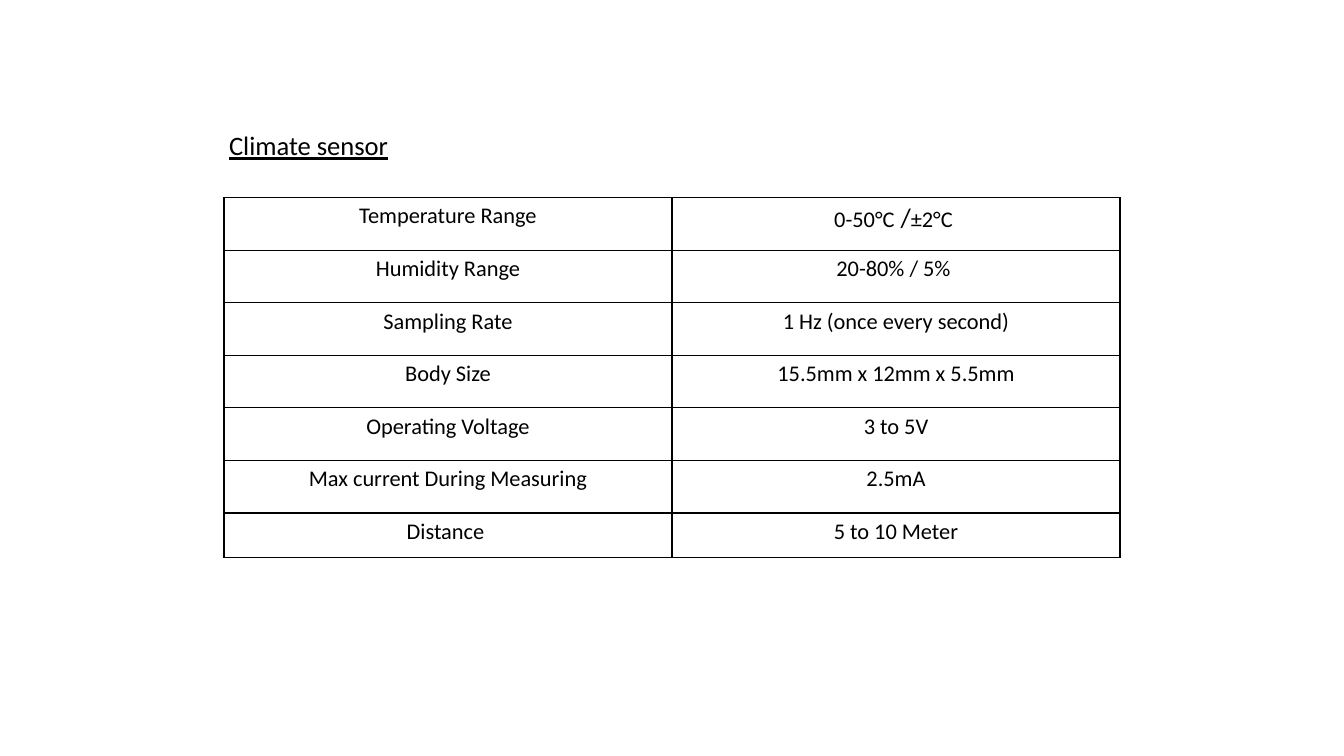
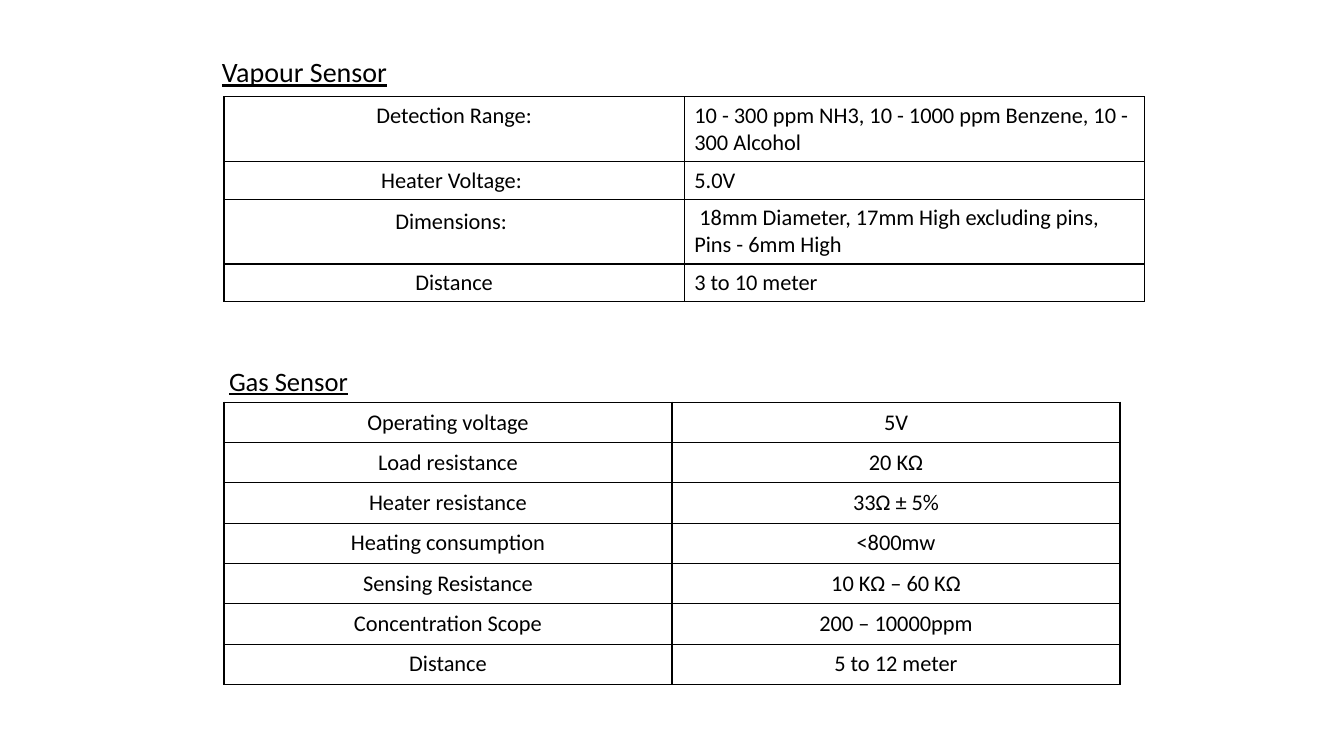
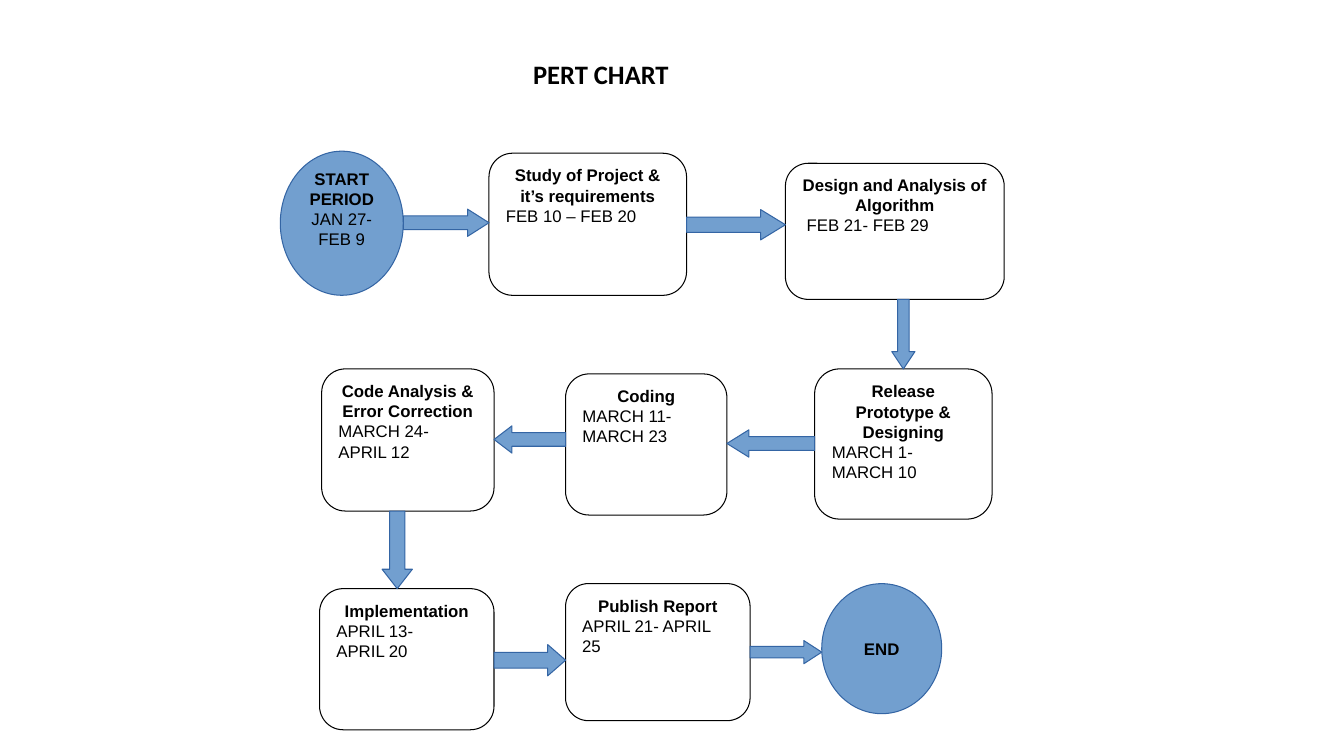
"""Sensor specification tables and a PERT chart on three slides."""
from lxml import etree
from pptx import Presentation
from pptx.dml.color import RGBColor
from pptx.enum.shapes import MSO_SHAPE
from pptx.enum.text import MSO_ANCHOR, MSO_AUTO_SIZE, PP_ALIGN
from pptx.oxml.ns import qn
from pptx.util import Emu, Inches, Pt

BLACK = RGBColor(0x00, 0x00, 0x00)
WHITE = RGBColor(0xFF, 0xFF, 0xFF)
BLUE = RGBColor(0x72, 0x9F, 0xCF)
DARK_BLUE = RGBColor(0x34, 0x65, 0xA4)
LEFT, CENTER = PP_ALIGN.LEFT, PP_ALIGN.CENTER
TOP, MIDDLE = MSO_ANCHOR.TOP, MSO_ANCHOR.MIDDLE
NO_AUTOFIT = MSO_AUTO_SIZE.NONE
ROUNDED, OVAL = MSO_SHAPE.ROUNDED_RECTANGLE, MSO_SHAPE.OVAL
RIGHT_ARROW, LEFT_ARROW = MSO_SHAPE.RIGHT_ARROW, MSO_SHAPE.LEFT_ARROW
DOWN_ARROW = MSO_SHAPE.DOWN_ARROW

presentation = Presentation()
presentation.slide_width = Inches(13.33)
presentation.slide_height = Inches(7.5)
TABLE_LEFT = 13.33 / 6
TABLE_WIDTH = 13.33 * 2 / 3
HEADING_SIZE, CELL_SIZE = 19, 16
title_only = presentation.slide_layouts[5]


def format_heading(shape, text, left, top, width, size=HEADING_SIZE, main=False):
    """Place and style a heading, underlined or, for a main one, bold and centred."""
    shape.left, shape.top = Inches(left), Inches(top)
    shape.width, shape.height = Inches(width), Inches(0.42)
    frame = shape.text_frame
    frame.text = text
    frame.word_wrap = True
    frame.auto_size = NO_AUTOFIT
    frame.vertical_anchor = MIDDLE if main else TOP
    frame.margin_left = frame.margin_right = Inches(0.1 if main else 0.05)
    frame.margin_top = frame.margin_bottom = Inches(0.05)
    paragraph = frame.paragraphs[0]
    paragraph.alignment = CENTER if main else LEFT
    font = paragraph.runs[0].font
    font.name, font.size = "Calibri", Pt(size)
    font.bold, font.underline = main, not main
    font.color.rgb = BLACK


def add_specification(slide, rows, heights, top, width=TABLE_WIDTH,
                      value_alignment=CENTER, anchor=TOP):
    """Add a two-column bordered table; text between bars is set larger."""
    frame = slide.shapes.add_table(len(rows), 2, Inches(TABLE_LEFT), Inches(top),
                                   Inches(width), Inches(sum(heights)))
    table = frame.table
    table.first_row = table.horz_banding = False
    for row, height, texts in zip(table.rows, heights, rows):
        row.height = Inches(height)
        for cell, text, alignment in zip(row.cells, texts, (CENTER, value_alignment)):
            cell.vertical_anchor = anchor
            paragraph = cell.text_frame.paragraphs[0]
            paragraph.alignment = alignment
            for index, part in enumerate(text.split("|")):
                run = paragraph.add_run()
                run.text = part
                run.font.name = "Calibri"
                run.font.size = Pt(HEADING_SIZE if index % 2 else CELL_SIZE)
                run.font.color.rgb = BLACK
            properties = cell._tc.get_or_add_tcPr()
            for side in ("a:lnL", "a:lnR", "a:lnT", "a:lnB"):
                border = etree.SubElement(properties, qn(side), w=str(Pt(1)))
                fill = etree.SubElement(border, qn("a:solidFill"))
                etree.SubElement(fill, qn("a:srgbClr"), val=str(BLACK))
            cell.fill.background()


slide = presentation.slides.add_slide(title_only)
format_heading(slide.shapes.title, "Climate sensor", TABLE_LEFT, 1.23, 2.19)
climate_rows = [
    ("Temperature Range", "0-50°C| /|±2°C "),
    ("Humidity Range", "20-80% / 5% "),
    ("Sampling Rate", "1 Hz (once every second)"),
    ("Body Size", "15.5mm x 12mm x 5.5mm"),
    ("Operating Voltage", "3 to 5V"),
    ("Max current During Measuring", "2.5mA"),
]
add_specification(slide, climate_rows, [3.13 / 6] * 6, 1.96)
add_specification(slide, [("Distance ", "5 to 10 Meter")], [0.44], 5.09)

slide = presentation.slides.add_slide(title_only)
format_heading(slide.shapes.title, "Vapour Sensor", 2.15, 0.49, 3.4, size=20)
vapour_rows = [
    ("Detection Range:", "10 - 300 ppm NH3, 10 - 1000 ppm Benzene, 10 - 300 Alcohol"),
    ("Heater Voltage: ", "5.0V"),
    ("Dimensions:| ", " 18mm Diameter, 17mm High excluding pins, Pins - 6mm High"),
    ("Distance", "3 to 10 meter"),
]
add_specification(slide, vapour_rows, [0.64, 0.37] * 2, 0.96, width=9.13,
                  value_alignment=LEFT)
gas_heading = slide.shapes.add_textbox(0, 0, 0, 0)
format_heading(gas_heading, "Gas Sensor", TABLE_LEFT, 3.57, 3.96)
gas_rows = [
    ("Operating voltage", "5V"),
    ("Load resistance", "20 KΩ"),
    ("Heater resistance", "33Ω ± 5%"),
    ("Heating consumption", "<800mw"),
    ("Sensing Resistance", "10 KΩ – 60 KΩ"),
    ("Concentration Scope", "200 – 10000ppm"),
    ("Distance", "5 to 12 meter"),
]
add_specification(slide, gas_rows, [0.4] * 7, 3.99, anchor=MIDDLE)

slide = presentation.slides.add_slide(title_only)
format_heading(slide.shapes.title, "PERT CHART", 0.4, 0.52, 11.12, main=True)
steps = {
    "start": (OVAL, 2.78, 1.5, 1.22, 1.43, "START PERIOD\nJAN 27-FEB 9"),
    "study": (ROUNDED, 4.85, 1.52, 1.96, 1.41,
              "Study of Project & it’s requirements\nFEB 10 – FEB 20"),
    "design": (ROUNDED, 7.79, 1.62, 2.17, 1.35,
               "Design and Analysis of Algorithm\n FEB 21- FEB 29"),
    "release": (ROUNDED, 8.08, 3.66, 1.76, 1.49,
                "Release Prototype & Designing\nMARCH 1-\nMARCH 10"),
    "coding": (ROUNDED, 5.61, 3.71, 1.6, 1.4, "Coding\nMARCH 11-MARCH 23"),
    "analysis": (ROUNDED, 3.19, 3.66, 1.71, 1.41,
                 "Code Analysis & Error Correction\nMARCH 24-\nAPRIL 12"),
    "implementation": (ROUNDED, 3.17, 5.84, 1.73, 1.4,
                       "Implementation\nAPRIL 13-\nAPRIL 20"),
    "report": (ROUNDED, 5.61, 5.79, 1.83, 1.36, "Publish Report\nAPRIL 21- APRIL 25"),
    "end": (OVAL, 8.15, 5.79, 1.19, 1.29, "END"),
}
step_shapes = {}
for name, (kind, left, top, width, height, text) in steps.items():
    is_oval = kind == OVAL
    shape = slide.shapes.add_shape(kind, Inches(left), Inches(top),
                                   Inches(width), Inches(height))
    step_shapes[name] = shape
    shape.shadow.inherit = False
    shape.fill.solid()
    shape.fill.fore_color.rgb = BLUE if is_oval else WHITE
    shape.line.color.rgb = DARK_BLUE if is_oval else BLACK
    shape.line.width = Pt(0.75)
    frame = shape.text_frame
    frame.word_wrap = True
    frame.vertical_anchor = MIDDLE if is_oval else TOP
    frame.margin_left = frame.margin_right = Inches(0 if is_oval else 0.1)
    frame.margin_top = frame.margin_bottom = Inches(0 if is_oval else 0.05)
    frame.text = text
    for index, paragraph in enumerate(frame.paragraphs):
        paragraph.alignment = CENTER if is_oval or index == 0 else LEFT
        font = paragraph.runs[0].font
        font.name, font.size, font.bold = "Arial", Pt(12), index == 0
        font.color.rgb = BLACK
step_shapes["start"].text_frame.margin_bottom = Inches(0.29)

flow = [
    ("start", "study", RIGHT_ARROW, 2.21, 0.27),
    ("study", "design", RIGHT_ARROW, 2.23, 0.3),
    ("design", "release", DOWN_ARROW, 8.96, 0.23),
    ("release", "coding", LEFT_ARROW, 4.4, 0.27),
    ("coding", "analysis", LEFT_ARROW, 4.36, 0.27),
    ("analysis", "implementation", DOWN_ARROW, 3.94, 0.3),
    ("implementation", "report", RIGHT_ARROW, 6.55, 0.31),
    ("report", "end", RIGHT_ARROW, 6.47, 0.23),
]
for source_name, target_name, kind, centre, thickness in flow:
    source, target = step_shapes[source_name], step_shapes[target_name]
    breadth = Inches(thickness)
    edge = Inches(centre - thickness / 2)
    if kind == DOWN_ARROW:
        start = source.top + source.height
        length = target.top - start
        box = (edge, start, breadth, length)
    else:
        first, second = (source, target) if kind == RIGHT_ARROW else (target, source)
        start = first.left + first.width
        length = second.left - start
        box = (start, edge, length, breadth)
    arrow = slide.shapes.add_shape(kind, *[Emu(value) for value in box])
    arrow.adjustments[1] = 0.25 * length / breadth
    arrow.shadow.inherit = False
    arrow.fill.solid()
    arrow.fill.fore_color.rgb = BLUE
    arrow.line.color.rgb = DARK_BLUE
    arrow.line.width = Pt(0.75)

presentation.save("out.pptx")
